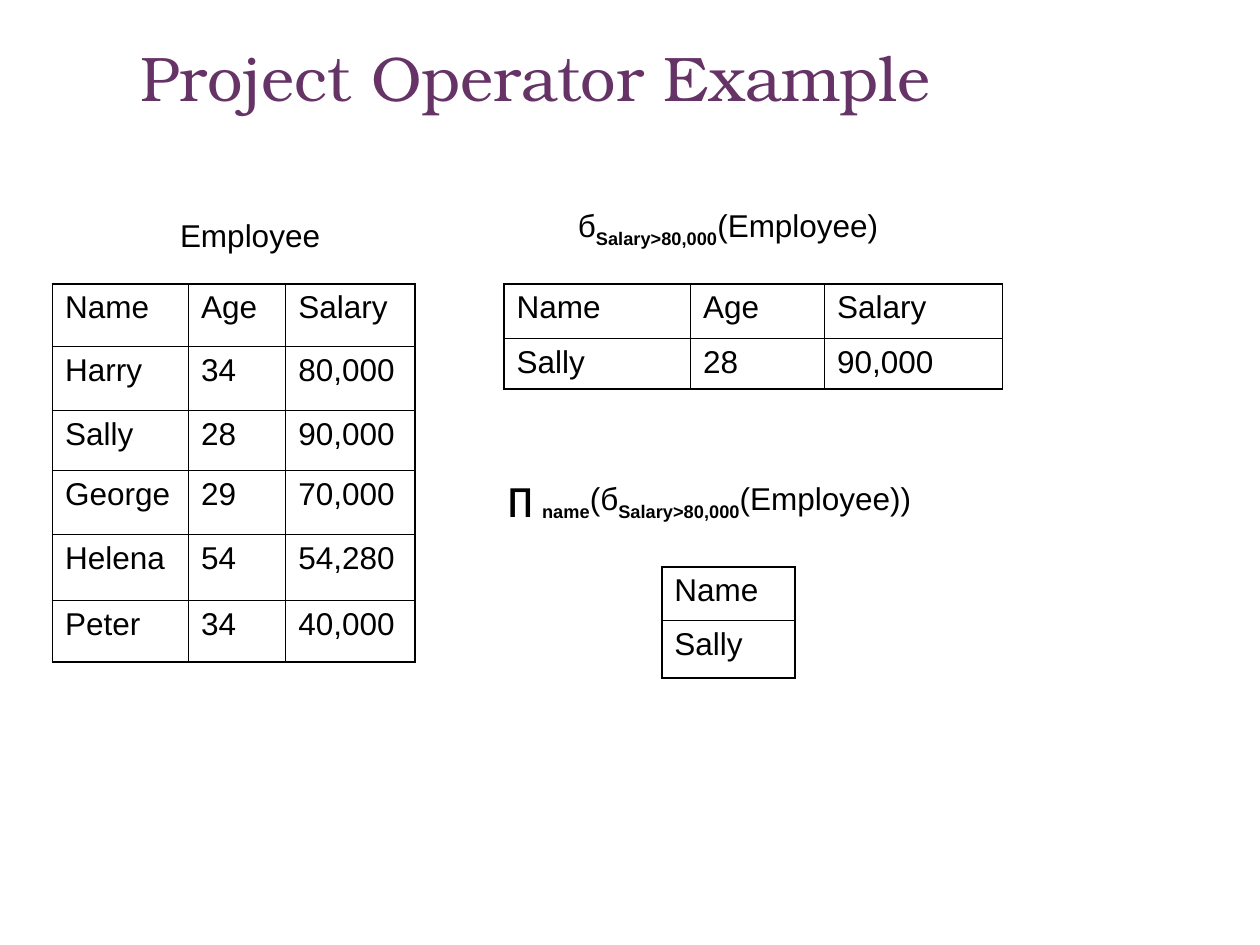
from pptx import Presentation
from pptx import util as u
from pptx.dml.color import RGBColor
from pptx.enum import text
from lxml import etree

NS = "http://schemas.openxmlformats.org/drawingml/2006/main"
THIN, THICK = 0.45, 1.08


def add_text(p, content, size=18, font="Arial", color="000000", bold=False, base=0):
    r = p.add_run()
    r.text = content
    r.font.size = u.Pt(size)
    r.font.name = font
    r.font.bold = bold
    r.font.color.rgb = RGBColor.from_string(color)
    if base:
        r.font._element.set("baseline", str(base * 1000))


def add_border(cell, side, width, color="000000"):
    ln = etree.SubElement(cell._tc.get_or_add_tcPr(), f"{{{NS}}}ln{side}", w=str(u.Pt(width)))
    fill = etree.SubElement(ln, f"{{{NS}}}solidFill")
    etree.SubElement(fill, f"{{{NS}}}srgbClr", val=color)


prs = Presentation()
prs.slide_width, prs.slide_height = u.Cm(25.4), u.Cm(19.05)
s = prs.slides.add_slide(prs.slide_layouts[5])

# Title
sp = s.shapes.title
sp.left, sp.top, sp.width, sp.height = u.Cm(0.61), u.Cm(0.64), u.Cm(20.78), u.Cm(3.18)
tf = sp.text_frame
tf.vertical_anchor = text.MSO_ANCHOR.TOP
p = tf.paragraphs[0]
p.alignment = text.PP_ALIGN.CENTER
add_text(p, "Project Operator Example ", size=36, font="TeX Gyre Bonum", color="663366")

# Tables: left, top, column widths, row heights, rows
header = ["Name", "Age", "Salary"]
employees = [
    header,
    ["Harry", "34", "80,000"],
    ["Sally", "28", "90,000"],
    ["George", "29", "70,000"],
    ["Helena", "54", "54,280"],
    ["Peter", "34", "40,000"],
]
tables = [
    (1.06, 5.72, [2.74, 1.96, 2.61], [1.27, 1.28, 1.22, 1.28, 1.34, 1.24], employees),
    (13.34, 11.43, [2.69], [1.08, 1.16], [["Name"], ["Sally"]]),
    (10.16, 5.72, [3.76, 2.7, 3.59], [1.1, 1.02], [header, ["Sally", "28", "90,000"]]),
]
for left, top, widths, heights, rows in tables:
    frame = s.shapes.add_table(len(rows), len(widths), u.Cm(left), u.Cm(top),
                               u.Cm(sum(widths)), u.Cm(sum(heights)))
    table = frame.table
    table.first_row = table.horz_banding = False
    for column, width in zip(table.columns, widths):
        column.width = u.Cm(width)
    for row, height in zip(table.rows, heights):
        row.height = u.Cm(height)
    for i, values in enumerate(rows):
        for j, value in enumerate(values):
            cell = table.cell(i, j)
            add_text(cell.text_frame.paragraphs[0], value)
            # Thick outline, thin inner lines
            outer = {"L": j == 0, "R": j == len(widths) - 1,
                     "T": i == 0, "B": i == len(rows) - 1}
            for side, is_outer in outer.items():
                add_border(cell, side, THICK if is_outer else THIN)
            cell.fill.background()

# Labels above the tables: left, top, width, height, runs
sub = dict(bold=True, base=-25)
labels = [
    (3.38, 4.24, 3.4, 1.02, [("Employee", {})]),
    (11.4, 4.03, 6.8, 1.12, [("б", {}), ("Salary>80,000", sub), ("(Employee)", {})]),
    (9.98, 9.53, 8.9, 1.12, [("∏ ", dict(bold=True)), ("name", sub), ("(б", {}),
                             ("Salary>80,000", sub), ("(Employee))", {})]),
]
for left, top, width, height, runs in labels:
    sp = s.shapes.add_textbox(u.Cm(left), u.Cm(top), u.Cm(width), u.Cm(height))
    tf = sp.text_frame
    tf.word_wrap = True
    for content, style in runs:
        add_text(tf.paragraphs[0], content, **style)

prs.save("out.pptx")
